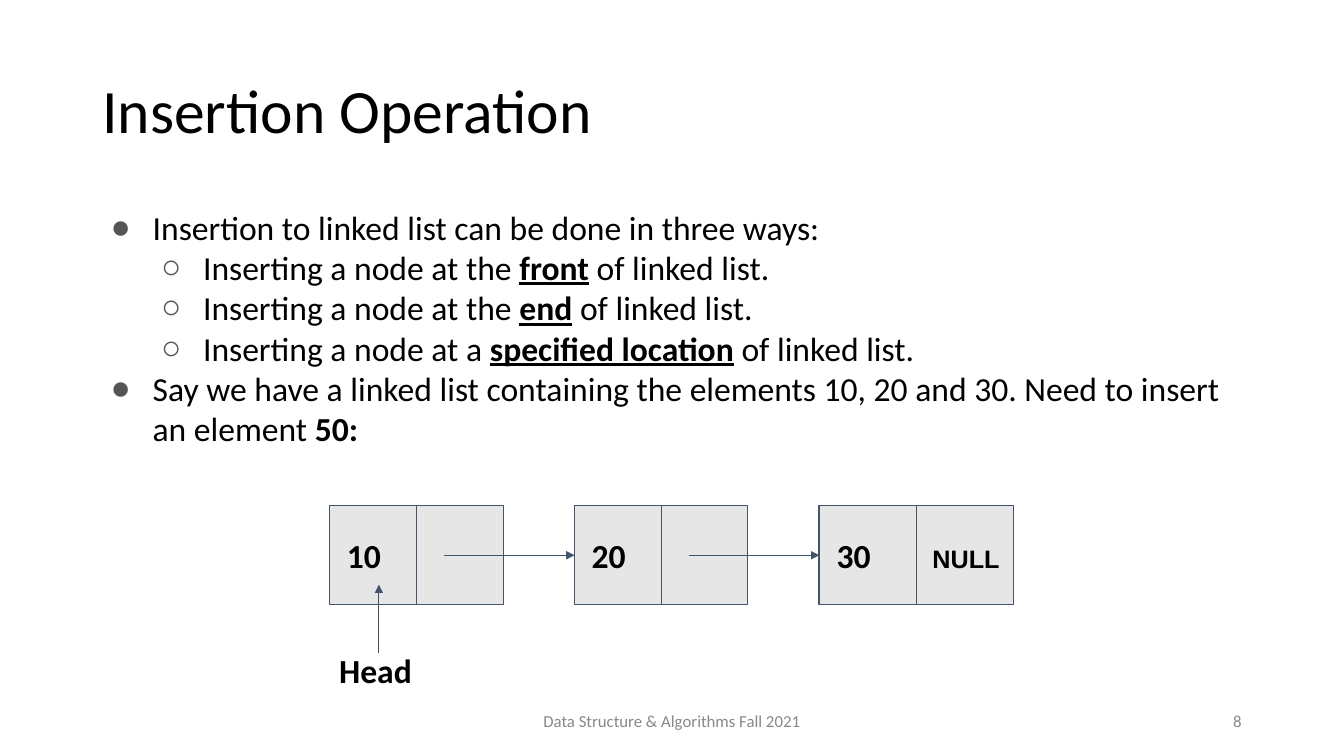
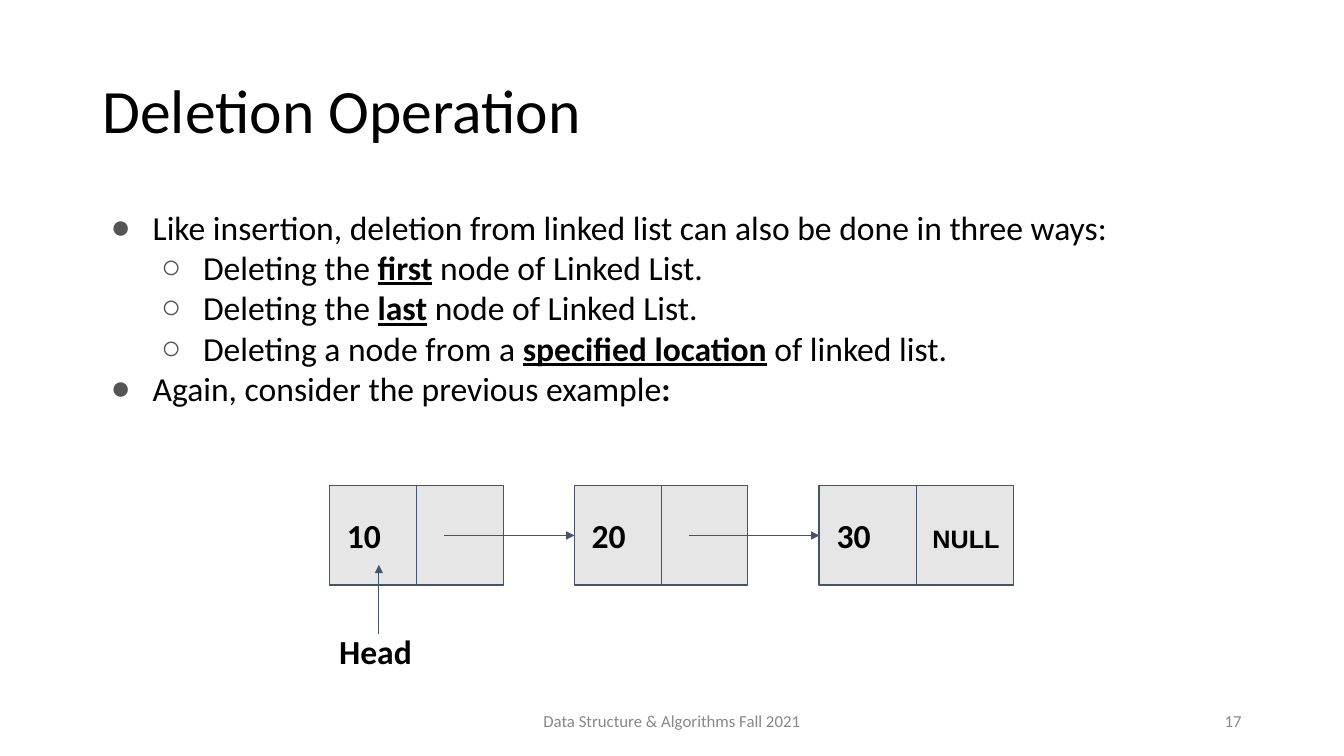
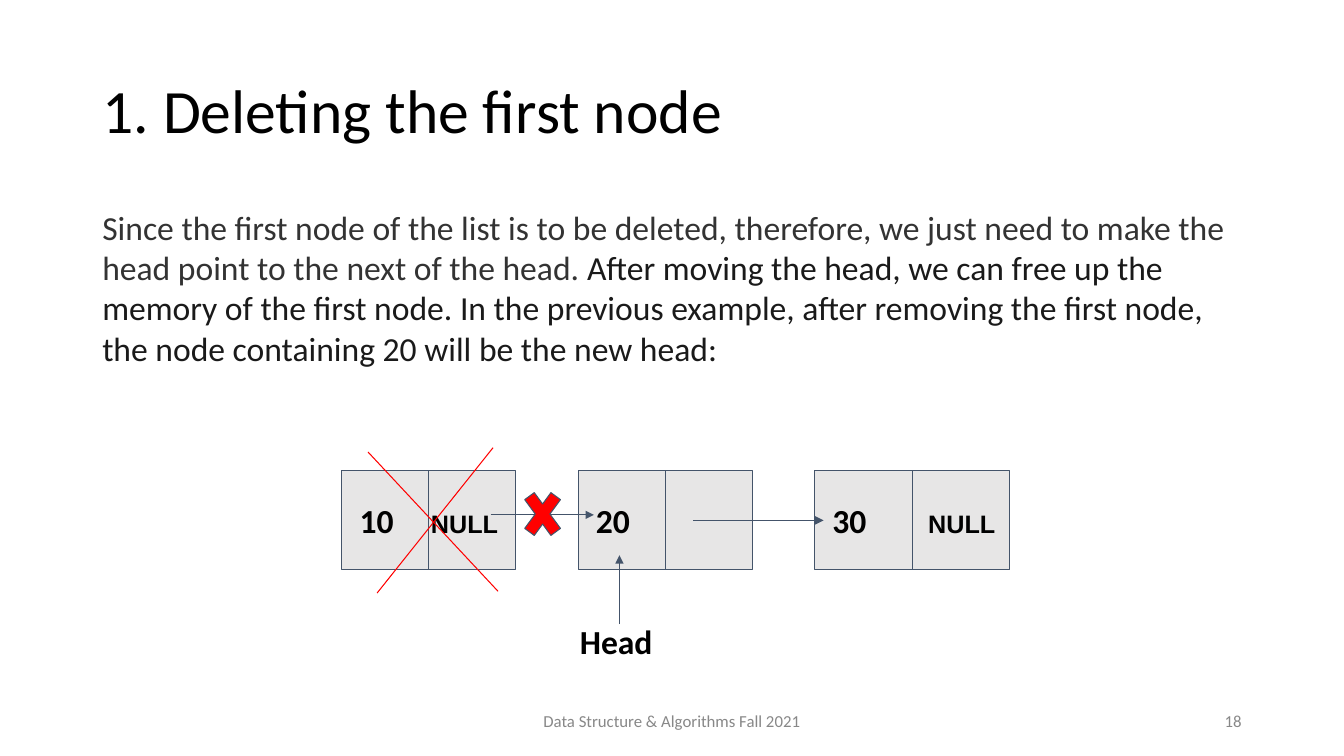
from dataclasses import dataclass

from lxml import etree
from pptx import Presentation
from pptx.dml.color import RGBColor
from pptx.enum.shapes import MSO_CONNECTOR, MSO_SHAPE
from pptx.enum.text import MSO_ANCHOR, MSO_AUTO_SIZE, PP_ALIGN
from pptx.oxml.ns import qn
from pptx.util import Inches, Pt

STRAIGHT = MSO_CONNECTOR.STRAIGHT
RECTANGLE, CROSS = MSO_SHAPE.RECTANGLE, MSO_SHAPE.MATH_MULTIPLY
TOP, MIDDLE = MSO_ANCHOR.TOP, MSO_ANCHOR.MIDDLE
LEFT, CENTER, RIGHT = PP_ALIGN.LEFT, PP_ALIGN.CENTER, PP_ALIGN.RIGHT
NO_AUTOFIT = MSO_AUTO_SIZE.NONE

# The slide is a grid of 160 columns by 90 rows of square cells.
COLUMNS, ROWS = 160, 90
SLIDE_HEIGHT = Inches(7.5)
CELL = SLIDE_HEIGHT / ROWS

BLACK, GREY, BULLET = "000000", "888888", "555555"
DARK, INK = "333333", "1A1A1A"
NODE_FILL, NODE_LINE, RED = "E7E6E6", "44546A", "FF0000"
BODY_FONT, LABEL_FONT = "Calibri", "Arial"
FOOTER = "Data Structure & Algorithms Fall 2021"
BULLETS = ("●", "○")

NODE_HEIGHT, HEAD_SIZE = 11.8, (11.8, 7.3)
NODE_INSET, LINK_START, LINK_LENGTH = 2.1, 13.7, 15.5


@dataclass(frozen=True)
class Area:
    """A rectangle in grid cells."""
    left: float
    top: float
    width: float
    height: float


@dataclass(frozen=True)
class Span:
    """A piece of text; what is None follows its paragraph."""
    text: str
    bold: bool = False
    underline: bool = False
    color: str | None = None
    size: float | None = None
    font: str | None = None


@dataclass(frozen=True)
class Para:
    """A paragraph, with a bullet level if it is a list item."""
    spans: tuple[Span, ...]
    level: int | None = None


@dataclass(frozen=True)
class Node:
    """A list node; a label fills its right half, otherwise a link starts there."""
    value: str
    label: str = ""
    width: float = 20.7
    tab: float = 8.5


@dataclass(frozen=True)
class Chain:
    """A row of nodes and its head pointer."""
    nodes: tuple[Node, ...]
    left: float
    top: float
    pitch: float = 29.15
    head_index: int = 0
    head_shift: tuple[float, float] = (0, 0)


@dataclass(frozen=True)
class Page:
    """One slide of the deck."""
    title: str
    number: int
    body: tuple[Para, ...]
    chain: Chain


TITLE_AREA = Area(11, 4.8, 138, 17.4)
BODY_AREA = Area(11, 24, 138, 57.1)
FOOTER_AREA = Area(53, 83.4, 54, 4.8)
NUMBER_AREA = Area(113, 83.4, 36, 4.8)


def cells(count: float) -> int:
    """Turn grid cells into a length."""
    return round(count * CELL)


def rgb(color: str) -> RGBColor:
    """Turn a hex string into a colour."""
    return RGBColor.from_string(color)


def place(area: Area) -> tuple[int, int, int, int]:
    """Give left, top, width and height of an area as lengths."""
    return (cells(area.left), cells(area.top), cells(area.width), cells(area.height))


def add_bullet(para, level: int) -> None:
    """Give a paragraph the hanging bullet of its level."""
    props = para._p.get_or_add_pPr()
    props.set("marL", str(cells(6 * (level + 1))))
    props.set("indent", str(cells(-5)))
    if level:
        props.set("lvl", str(level))
    color = etree.SubElement(props, qn("a:buClr"))
    etree.SubElement(color, qn("a:srgbClr"), val=BULLET)
    etree.SubElement(props, qn("a:buFont"), typeface=LABEL_FONT)
    etree.SubElement(props, qn("a:buChar"), char=BULLETS[level])


def add_tab(para, position: float) -> None:
    """Set one left tab stop."""
    stops = etree.SubElement(para._p.get_or_add_pPr(), qn("a:tabLst"))
    etree.SubElement(stops, qn("a:tab"), pos=str(cells(position)), algn="l")


def write(frame, paras: tuple[Para, ...], *, size: float = 24, color: str = BLACK,
          align=LEFT, anchor=MIDDLE, inset: tuple[float, float] = (1.2, 0.6),
          spacing: float | None = None, tab: float = 0) -> None:
    """Fill a text frame with formatted paragraphs."""
    frame.word_wrap = True
    frame.auto_size = NO_AUTOFIT
    frame.vertical_anchor = anchor
    frame.margin_left, frame.margin_right = cells(inset[0]), cells(1.2)
    frame.margin_top = frame.margin_bottom = cells(inset[1])
    for index, item in enumerate(paras):
        para = frame.add_paragraph() if index else frame.paragraphs[0]
        para.alignment = align
        if spacing:
            para.line_spacing = spacing
        if item.level is not None:
            add_bullet(para, item.level)
        if tab:
            add_tab(para, tab)
        for span in item.spans:
            run = para.add_run()
            run.text = span.text
            run.font.name = span.font or BODY_FONT
            run.font.size = Pt(span.size or size)
            run.font.bold, run.font.underline = span.bold, span.underline
            run.font.color.rgb = rgb(span.color or color)


def plain(text: str, bold: bool = False) -> tuple[Para, ...]:
    """Make a single paragraph of one span."""
    return (Para((Span(text, bold),)),)


def add_text(slide, area: Area, paras: tuple[Para, ...], **text_format) -> None:
    """Add a text box."""
    write(slide.shapes.add_textbox(*place(area)).text_frame, paras, **text_format)


def add_box(slide, kind, area: Area, fill: str):
    """Add a filled shape with the thin outline of the diagrams."""
    box = slide.shapes.add_shape(kind, *place(area))
    box.shadow.inherit = False
    box.fill.solid()
    box.fill.fore_color.rgb = rgb(fill)
    box.line.color.rgb = rgb(NODE_LINE)
    box.line.width = Pt(0.75)
    return box


def add_line(slide, start: tuple[float, float], end: tuple[float, float],
             color: str = NODE_LINE, arrow: bool = False) -> None:
    """Add a thin line, with an arrowhead at its end if asked."""
    line = slide.shapes.add_connector(STRAIGHT, *map(cells, start + end))
    line.line.color.rgb = rgb(color)
    line.line.width = Pt(0.75)
    if arrow:
        etree.SubElement(line.line._get_or_add_ln(), qn("a:tailEnd"), type="triangle")
    etree.SubElement(line._element.spPr, qn("a:effectLst"))


def draw_node(slide, node: Node, left: float, top: float) -> None:
    """Draw a node, its divider, and its link to the next node."""
    box = add_box(slide, RECTANGLE, Area(left, top, node.width, NODE_HEIGHT), NODE_FILL)
    spans = [Span(node.value, bold=True)]
    if node.label:
        spans.append(Span("\t" + node.label, bold=True, size=18, font=LABEL_FONT))
    write(box.text_frame, (Para(tuple(spans)),), inset=(NODE_INSET, 1.2),
          tab=node.tab if node.label else 0)
    middle = left + node.width / 2
    add_line(slide, (middle, top), (middle, top + NODE_HEIGHT))
    if not node.label:
        start, height = left + LINK_START, top + NODE_HEIGHT / 2
        add_line(slide, (start, height), (start + LINK_LENGTH, height), arrow=True)


def draw_chain(slide, chain: Chain) -> None:
    """Draw the nodes from last to first, so that links lie on top, and the head."""
    for index, node in reversed(list(enumerate(chain.nodes))):
        draw_node(slide, node, chain.left + index * chain.pitch, chain.top)
    left = chain.left + chain.head_index * chain.pitch + chain.head_shift[0]
    top = chain.top + chain.head_shift[1]
    add_text(slide, Area(left, top + 16, *HEAD_SIZE), plain("Head", bold=True),
             anchor=TOP, inset=(1.2, 1.2))
    middle = left + HEAD_SIZE[0] / 2
    add_line(slide, (middle, top + 17.6), (middle, top + 9.4), arrow=True)


def draw_removal(slide) -> None:
    """Strike out the first node and its link."""
    add_line(slide, (58.7, 53.3), (44.9, 70.6), RED)
    add_line(slide, (43.8, 53.8), (59.3, 70.4), RED)
    add_line(slide, (58.4, 61.3), (70.7, 61.3), arrow=True)
    cross = add_box(slide, CROSS, Area(61.6, 57.1, 6, 8.2), RED)
    cross.adjustments[0] = 0.235


def draw_page(deck, page: Page):
    """Add a slide with its title, body, footer, number and diagram."""
    slide = deck.slides.add_slide(deck.slide_layouts.get_by_name("Title Only"))
    title = slide.shapes.title
    title.left, title.top, title.width, title.height = place(TITLE_AREA)
    write(title.text_frame, plain(page.title), size=44, spacing=0.9)
    add_text(slide, BODY_AREA, page.body, anchor=TOP)
    add_text(slide, NUMBER_AREA, plain(str(page.number)), size=12, color=GREY, align=RIGHT)
    add_text(slide, FOOTER_AREA, plain(FOOTER), size=12, color=GREY, align=CENTER)
    draw_chain(slide, page.chain)
    return slide


def topic(text: str, ending: str = "") -> Para:
    """Make a first-level item with an optional bold ending."""
    spans = (Span(text), Span(ending, bold=True)) if ending else (Span(text),)
    return Para(spans, level=0)


def way(before: str, key: str, after: str) -> Para:
    """Make a second-level item with an emphasised key word."""
    return Para((Span(before), Span(key, bold=True, underline=True), Span(after)), level=1)


LAST_NODE = Node("30", "NULL", width=23.2, tab=11.4)
LINKED = (Node("10"), Node("20"), LAST_NODE)
UNLINKED = (Node("10", "NULL"), Node("20"), LAST_NODE)

INSERTION = Page("Insertion Operation", 8, (
    topic("Insertion to linked list can be done in three ways:"),
    way("Inserting a node at the ", "front", " of linked list."),
    way("Inserting a node at the ", "end", " of linked list."),
    way("Inserting a node at a ", "specified location", " of linked list."),
    topic("Say we have a linked list containing the elements 10, 20 and 30. "
          "Need to insert an element ", "50:"),
), Chain(LINKED, left=39.2, top=60.2))

DELETION = Page("Deletion Operation", 17, (
    topic("Like insertion, deletion from linked list can also be done in three ways:"),
    way("Deleting the ", "first", " node of Linked List."),
    way("Deleting the ", "last", " node of Linked List."),
    way("Deleting a node from a ", "specified location", " of linked list."),
    topic("Again, consider the previous example", ":"),
), Chain(LINKED, left=39.2, top=57.85))

FIRST_NODE = Page("1. Deleting the first node", 18, (Para((
    Span("Since the first node of the list is to be deleted, therefore, we just need "
         "to make the head point to the next of the head. ", color=DARK),
    Span("After moving the head, we can free up the memory of the first node. In the "
         "previous example, after removing the first node, the node containing 20 "
         "will be the new head:", color=INK),
)),), Chain(UNLINKED, left=40.7, top=56.05, pitch=28.15, head_index=1,
            head_shift=(-1, 0.65)))


def main() -> None:
    """Build and save the deck."""
    deck = Presentation()
    deck.slide_width, deck.slide_height = cells(COLUMNS), SLIDE_HEIGHT
    draw_page(deck, INSERTION)
    draw_page(deck, DELETION)
    draw_removal(draw_page(deck, FIRST_NODE))
    deck.save("out.pptx")


main()
